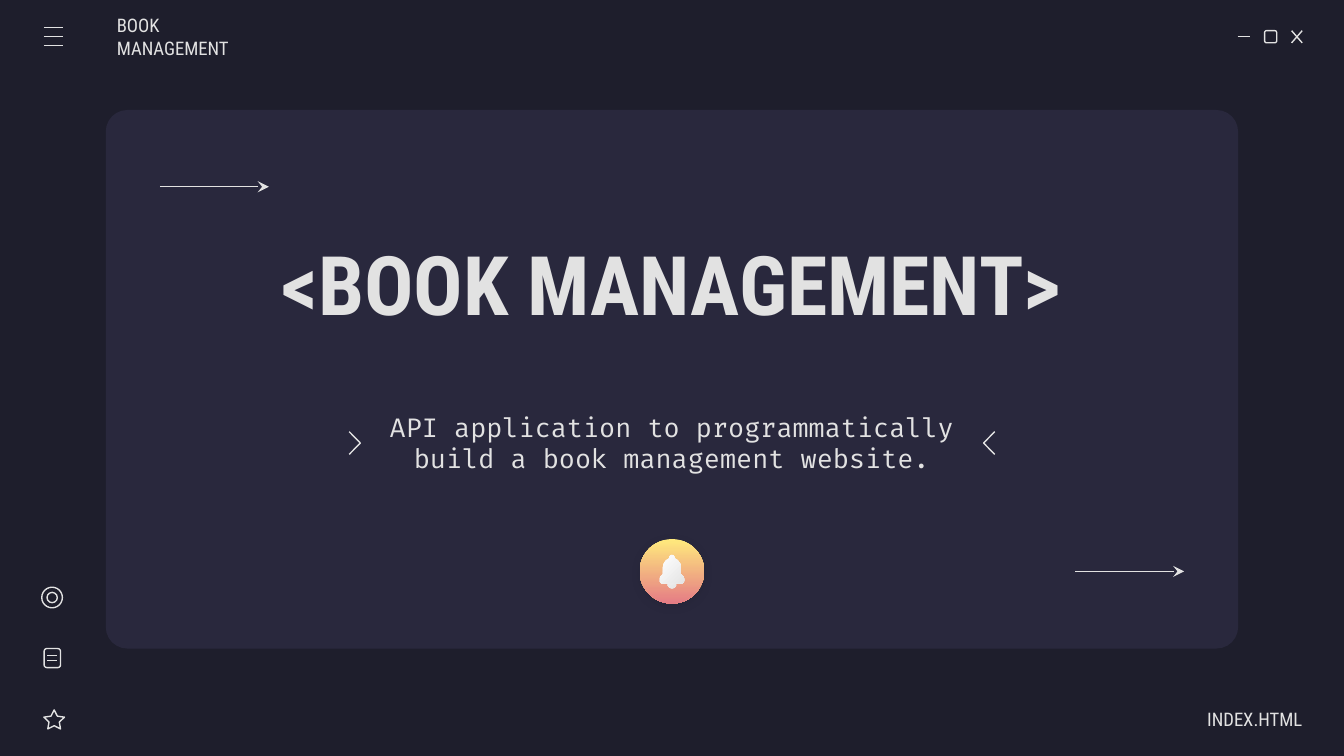
from math import cos, pi, sin

from lxml import etree
from pptx import Presentation
from pptx.dml.color import RGBColor
from pptx.enum.shapes import MSO_CONNECTOR, MSO_SHAPE
from pptx.enum.text import MSO_ANCHOR, PP_ALIGN
from pptx.oxml.ns import qn
from pptx.util import Cm, Pt

LINE = MSO_CONNECTOR.STRAIGHT
OVAL, ROUND, STAR = MSO_SHAPE.OVAL, MSO_SHAPE.ROUNDED_RECTANGLE, MSO_SHAPE.STAR_5_POINT
MIDDLE = MSO_ANCHOR.MIDDLE
LEFT, CENTER, RIGHT = PP_ALIGN.LEFT, PP_ALIGN.CENTER, PP_ALIGN.RIGHT

COLORS = {
    "back": "1E1E2C",
    "panel": "29283D",
    "light": "E2E2E2",
    "white": "FFFFFF",
    "yellow": "FFEA7D",
    "pink": "E57C85",
}
HEADING, CODE = "Roboto Condensed", "Fira Code"
INSET = 0.25


def rgb(name):
    return RGBColor.from_string(COLORS[name])


def style(sp, fill=None, line=None):
    sp.shadow.inherit = False
    if fill:
        sp.fill.solid()
        sp.fill.fore_color.rgb = rgb(fill)
    else:
        sp.fill.background()
    if line:
        sp.line.color.rgb = rgb(line)
        sp.line.width = Pt(0.75)
    else:
        sp.line.fill.background()


def add_gradient(sp, start, end, angle):
    sp.fill.gradient()
    sp.fill.gradient_angle = angle
    for stop, name, position in zip(sp.fill.gradient_stops, (start, end), (0, 1)):
        stop.color.rgb = rgb(name)
        stop.position = position


def add_shape(s, kind, x, y, w, h, fill=None, line=None, adj=None):
    sp = s.shapes.add_shape(kind, Cm(x), Cm(y), Cm(w), Cm(h))
    style(sp, fill, line)
    if adj is not None:
        sp.adjustments[0] = adj
    return sp


def add_outline(s, contours, closed, fill=None, line=None):
    first, *others = contours
    builder = s.shapes.build_freeform(Cm(first[0][0]), Cm(first[0][1]))
    builder.add_line_segments([(Cm(x), Cm(y)) for x, y in first[1:]], close=closed)
    for points in others:
        builder.move_to(Cm(points[0][0]), Cm(points[0][1]))
        builder.add_line_segments([(Cm(x), Cm(y)) for x, y in points[1:]], close=closed)
    sp = builder.convert_to_shape()
    style(sp, fill, line)
    return sp


def add_line(s, x1, y1, x2, y2, arrow=False):
    cxn = s.shapes.add_connector(LINE, Cm(x1), Cm(y1), Cm(x2), Cm(y2))
    cxn.line.color.rgb = rgb("light")
    cxn.line.width = Pt(0.75)
    if arrow:
        etree.SubElement(cxn.line._get_or_add_ln(), qn("a:tailEnd"), type="stealth")
    etree.SubElement(cxn._element.spPr, qn("a:effectLst"))


def add_text(s, text, x, y, w, h, font=HEADING, size=10, bold=False,
             align=LEFT, left=INSET, right=INSET):
    tf = s.shapes.add_textbox(Cm(x), Cm(y), Cm(w), Cm(h)).text_frame
    tf.word_wrap = True
    tf.vertical_anchor = MIDDLE
    tf.margin_left, tf.margin_right = Cm(left), Cm(right)
    tf.margin_top = tf.margin_bottom = Cm(INSET)
    p = tf.paragraphs[0]
    p.alignment = align
    r = p.add_run()
    r.text = text
    r.font.name, r.font.size, r.font.bold = font, Pt(size), bold
    r.font.color.rgb = rgb("light")


def window_controls(s, x, y, size):
    step = 0.51
    add_line(s, x, y + size / 2, x + size, y + size / 2)
    add_shape(s, ROUND, x + step, y, size, size, line="light")
    left, right = x + 2 * step, x + 2 * step + 0.2
    add_line(s, left, y, right, y + size)
    add_line(s, right, y, left, y + size)


def menu_icon(s, x, y, w, h):
    for i in range(3):
        add_line(s, x, y + i * h / 2, x + w, y + i * h / 2)


def sidebar(s, x, y, size, step):
    mid = x + size / 2
    for d in (size, size / 2):
        add_shape(s, OVAL, mid - d / 2, y + (size - d) / 2, d, d, line="light")
    doc_y = y + step
    add_shape(s, ROUND, mid - 0.15, doc_y, 0.31, 0.36, line="light")
    for dy in (0.13, 0.23):
        add_line(s, mid - 0.09, doc_y + dy, mid + 0.09, doc_y + dy)
    add_shape(s, STAR, x + 0.04, y + 2 * step, size, 0.36, line="light", adj=0.25)


def arc(cx, cy, rx, ry, start, end, steps=10):
    angles = [start + (end - start) * i / steps for i in range(steps + 1)]
    return [(cx + rx * cos(a), cy - ry * sin(a)) for a in angles]


def bell_button(s, x, y, size):
    button = add_shape(s, OVAL, x, y, size, size)
    add_gradient(button, "yellow", "pink", 270)
    effects = button._element.spPr.find(qn("a:effectLst"))
    shadow = etree.SubElement(effects, qn("a:outerShdw"), blurRad=str(Pt(4.5)),
                              dist=str(Pt(1.5)), dir="5400000", rotWithShape="0")
    color = etree.SubElement(shadow, qn("a:srgbClr"), val=COLORS["back"])
    etree.SubElement(color, qn("a:alpha"), val="30000")

    cx, top = x + size / 2, y + 0.3
    half = (arc(cx, top + 0.05, 0.05, 0.05, pi / 2, 0, 4)
            + arc(cx, top + 0.24, 0.17, 0.18, 1.2, 0)
            + [(cx + 0.17, top + 0.36)]
            + arc(cx + 0.13, top + 0.46, 0.1, 0.1, pi / 3, 0, 4)
            + arc(cx + 0.18, top + 0.49, 0.05, 0.05, 0, -pi / 2, 4))
    body = half + [(2 * cx - px, py) for px, py in reversed(half)]
    clapper = arc(cx, top + 0.56, 0.08, 0.07, 0, -pi)
    bell = add_outline(s, [body, clapper], True, fill="light")
    add_gradient(bell, "white", "light", 315)


def chevrons(s, x, y, w, h, depth):
    for edge, tip in ((x, x + depth), (x + w, x + w - depth)):
        points = [(edge, y), (tip, y + h / 2), (edge, y + h)]
        add_outline(s, [points], False, line="light")


def frame(s):
    add_shape(s, ROUND, 2, 2.08, 21.4, 10.18, fill="panel", adj=0.04)
    window_controls(s, 23.39, 0.58, 0.23)
    menu_icon(s, 0.83, 0.52, 0.37, 0.34)
    sidebar(s, 0.79, 11.1, 0.39, 1.16)
    add_text(s, "BOOK MANAGEMENT", 2.21, 0.3, 2.97, 0.78, left=0)
    add_text(s, "INDEX.HTML", 21.64, 13.21, 2.97, 0.78, align=RIGHT, right=0)


def hero(s, x, y, w, h):
    mid = x + w / 2
    add_text(s, "<BOOK MANAGEMENT>", mid - 7.71, y + 1.45, 15.42, 3.61,
             size=44, bold=True, align=CENTER)
    add_text(s, "API application to programmatically build a book management website.",
             mid - 5.9, y + 5.06, 11.8, 2.46, font=CODE, size=14, align=CENTER)
    bell_button(s, mid - 0.61, y + 8.11, 1.22)
    chevrons(s, mid - 6.1, y + 6.08, 12.2, 0.43, 0.21)
    add_line(s, x + 1.02, y + 1.45, x + 3.08, y + 1.45, arrow=True)
    add_line(s, x + w - 3.08, y + 8.72, x + w - 1.02, y + 8.72, arrow=True)


def main():
    prs = Presentation()
    prs.slide_width, prs.slide_height = Cm(25.4), Cm(14.29)
    s = prs.slides.add_slide(prs.slide_layouts[6])
    s.background.fill.solid()
    s.background.fill.fore_color.rgb = rgb("back")
    frame(s)
    hero(s, 2, 2.08, 21.4, 10.18)
    prs.save("out.pptx")


if __name__ == "__main__":
    main()
